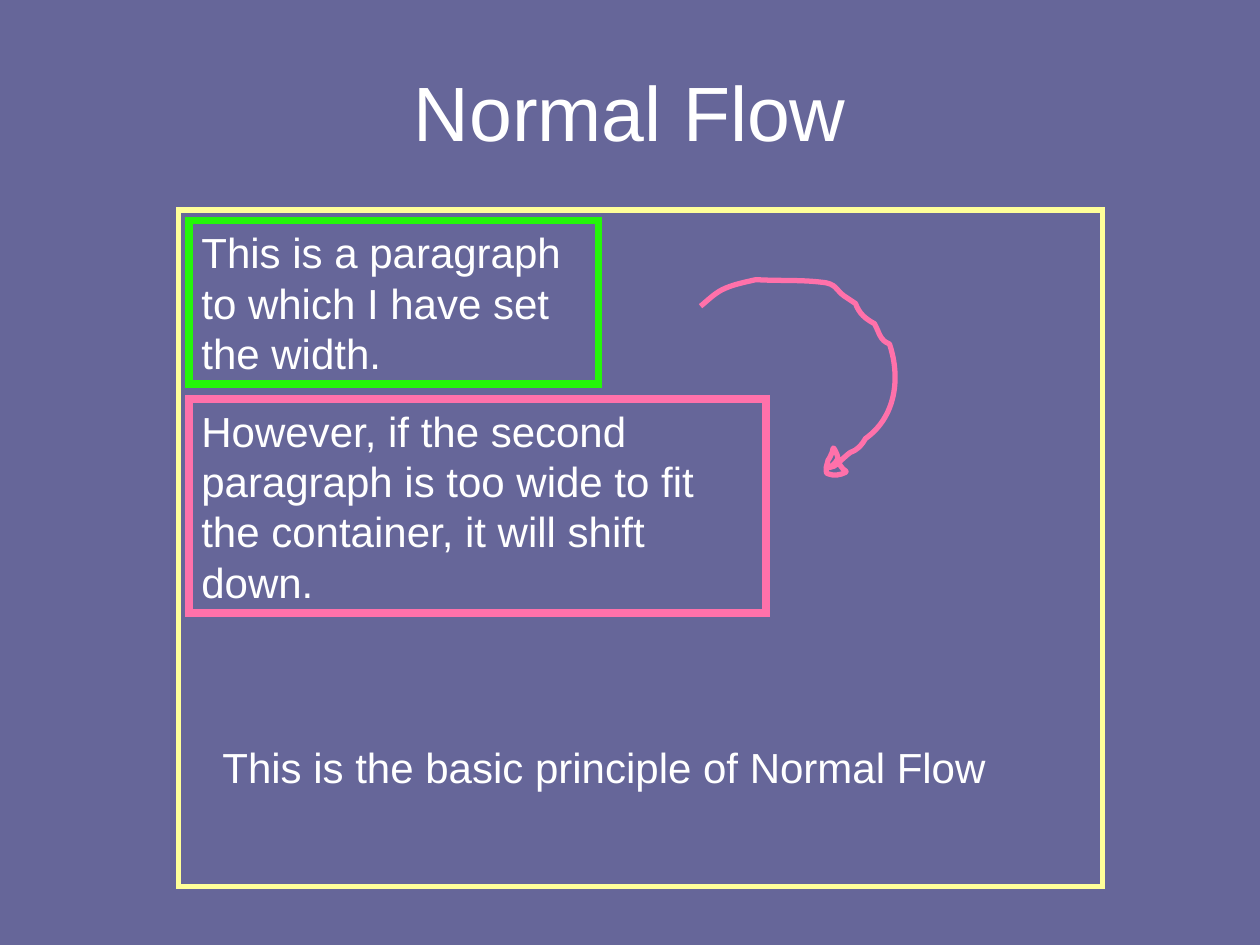
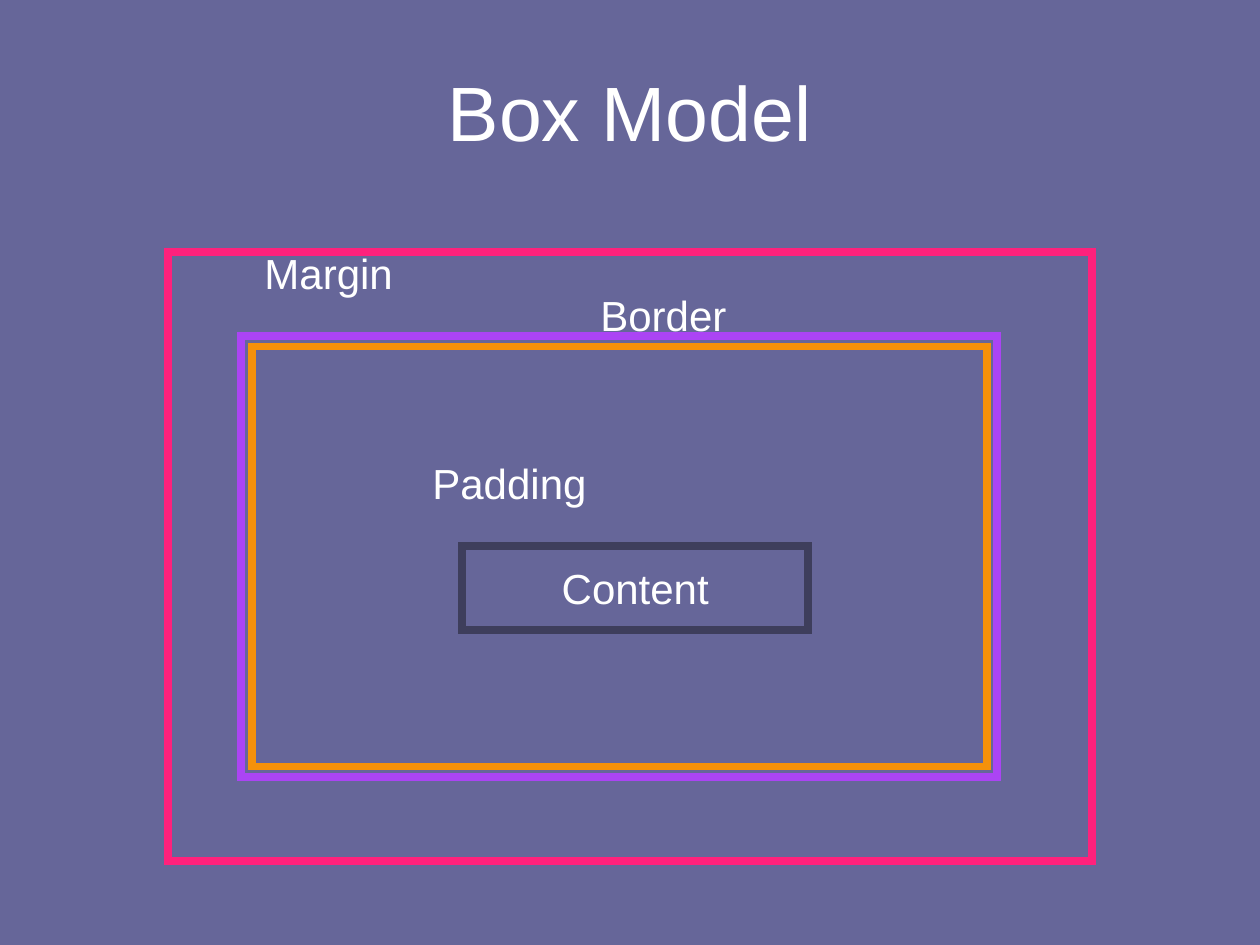
from lxml import etree
from pptx import Presentation
from pptx import util as u
from pptx.dml.color import RGBColor
from pptx.enum import shapes, text
from pptx.oxml import ns

COLORS = {
    "ground": "666699",
    "text": "FFFFFF",
    "container": "FFFF99",
    "first": "24F608",
    "second": "FF71AA",
    "margin": "FF217C",
    "border": "AB44F4",
    "padding": "F5910A",
    "content": "3E3E5C",
}
FONT = "Arial"


def write(box, words, size=24, align=text.PP_ALIGN.LEFT, anchor=text.MSO_ANCHOR.TOP):
    frame = box.text_frame
    frame.word_wrap = True
    frame.vertical_anchor = anchor
    para = frame.paragraphs[0]
    para.alignment = align
    para.line_spacing = u.Pt(size * 1.2)
    span = para.add_run()
    span.text = words
    span.font.size = u.Pt(size)
    span.font.name = FONT
    span.font.color.rgb = RGBColor.from_string(COLORS["text"])


def outline(page, color, bounds, weight=4.5, filled=False):
    box = page.shapes.add_shape(shapes.MSO_SHAPE.RECTANGLE, *map(u.Pt, bounds))
    box.shadow.inherit = False
    if filled:
        box.fill.solid()
        box.fill.fore_color.rgb = RGBColor.from_string(COLORS["ground"])
    else:
        box.fill.background()
    box.line.color.rgb = RGBColor.from_string(COLORS[color])
    box.line.width = u.Pt(weight)
    line = box._element.spPr.find(ns.qn("a:ln"))
    etree.SubElement(line, ns.qn("a:miter"), lim="800000")
    return box


deck = Presentation()
deck.slide_width = u.Pt(720)
deck.slide_height = u.Pt(540)

pages = []
for title in ("Normal Flow", "Box Model"):
    page = deck.slides.add_slide(deck.slide_layouts[6])
    page.background.fill.solid()
    page.background.fill.fore_color.rgb = RGBColor.from_string(COLORS["ground"])
    heading = page.shapes.add_textbox(u.Pt(54), u.Pt(18), u.Pt(612), u.Pt(90))
    write(heading, title, size=44, align=text.PP_ALIGN.CENTER,
          anchor=text.MSO_ANCHOR.MIDDLE)
    pages.append(page)
flow, model = pages

outline(flow, "container", (102, 120, 528, 386.5), weight=3)
for color, bounds, words in (
    ("first", (108, 126, 234, 93.6),
     "This is a paragraph to which I have set the width."),
    ("second", (108, 228, 330, 122.4),
     "However, if the second paragraph is too wide to fit the container, "
     "it will shift down."),
):
    write(outline(flow, color, bounds), words)

arrow_start = (400.3, 175)
arrow_curves = [
    ((403.9, 172.1), (408.2, 167.8), (412.6, 165.6)),
    ((418.3, 162.7), (425.5, 161.3), (432, 159.8)),
    ((445, 160.6), (457.2, 159.8), (469.4, 161.3)),
    ((478.1, 162), (477.4, 165.6), (482.4, 169.2)),
    ((484.6, 170.6), (488.9, 173.5), (488.9, 173.5)),
    ((491, 179.3), (494.6, 182.2), (499.7, 185)),
    ((502.6, 190.1), (502.6, 194.4), (508.3, 196.6)),
    ((514.8, 216), (511.9, 238.3), (494.6, 250.6)),
    ((492.5, 254.2), (490.3, 257), (486, 258.5)),
    ((483.8, 259.9), (478.8, 265), (476.6, 266.4)),
    ((475.2, 267.1), (473.8, 267.1), (472.3, 267.1)),
    ((470.9, 267.1), (474.5, 266.4), (475.2, 266.4)),
    ((478.8, 262.8), (480.2, 262.8), (476.6, 256.3)),
    ((475.9, 254.9), (475.9, 258.5), (475.2, 259.2)),
    ((471.6, 267.1), (474.5, 258.5), (472.3, 266.4)),
    ((472.3, 267.8), (471.6, 270.7), (473, 270.7)),
    ((476.6, 272.2), (480.2, 271.4), (483.1, 270)),
    ((484.6, 269.3), (481.7, 268.6), (481, 267.1)),
    ((478.1, 263.5), (480.2, 264.2), (478.1, 264.2)),
]
builder = flow.shapes.build_freeform(*map(u.Pt, arrow_start))
builder.add_line_segments(
    [(u.Pt(x), u.Pt(y)) for curve in arrow_curves for x, y in curve], close=False)
arrow = builder.convert_to_shape()
segments = list(arrow._element.iter(ns.qn("a:lnTo")))
for first, second, end in zip(segments[::3], segments[1::3], segments[2::3]):
    curve = etree.Element(ns.qn("a:cubicBezTo"))
    first.addprevious(curve)
    for segment in (first, second, end):
        curve.append(segment[0])
        segment.getparent().remove(segment)
arrow.shadow.inherit = False
arrow.fill.background()
arrow.line.color.rgb = RGBColor.from_string(COLORS["second"])
arrow.line.width = u.Pt(3)

for color, bounds in (
    ("margin", (96, 144, 528, 348)),
    ("border", (138, 192, 432, 252)),
    ("padding", (144, 198, 420, 240)),
    ("content", (264, 312, 198, 48)),
):
    box = outline(model, color, bounds, filled=True)
write(box, "Content", align=text.PP_ALIGN.CENTER, anchor=text.MSO_ANCHOR.MIDDLE)

for page, words, left, top, width in (
    (flow, "This is the basic principle of Normal Flow", 120, 420, 486),
    (model, "Padding", 240, 258, 114),
    (model, "Border", 336, 162, 102),
    (model, "Margin", 144, 138, 96),
):
    label = page.shapes.add_textbox(u.Pt(left), u.Pt(top), u.Pt(width), u.Pt(36))
    write(label, words)

deck.save("out.pptx")
